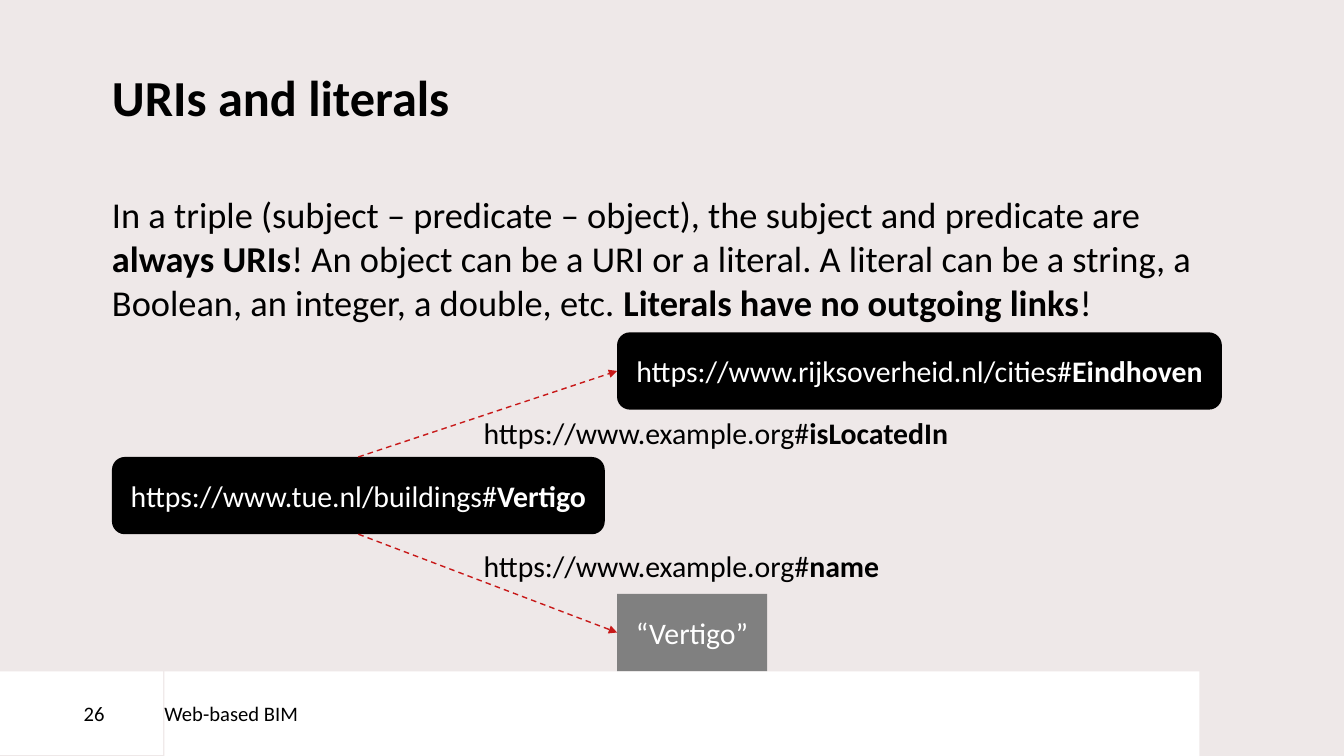
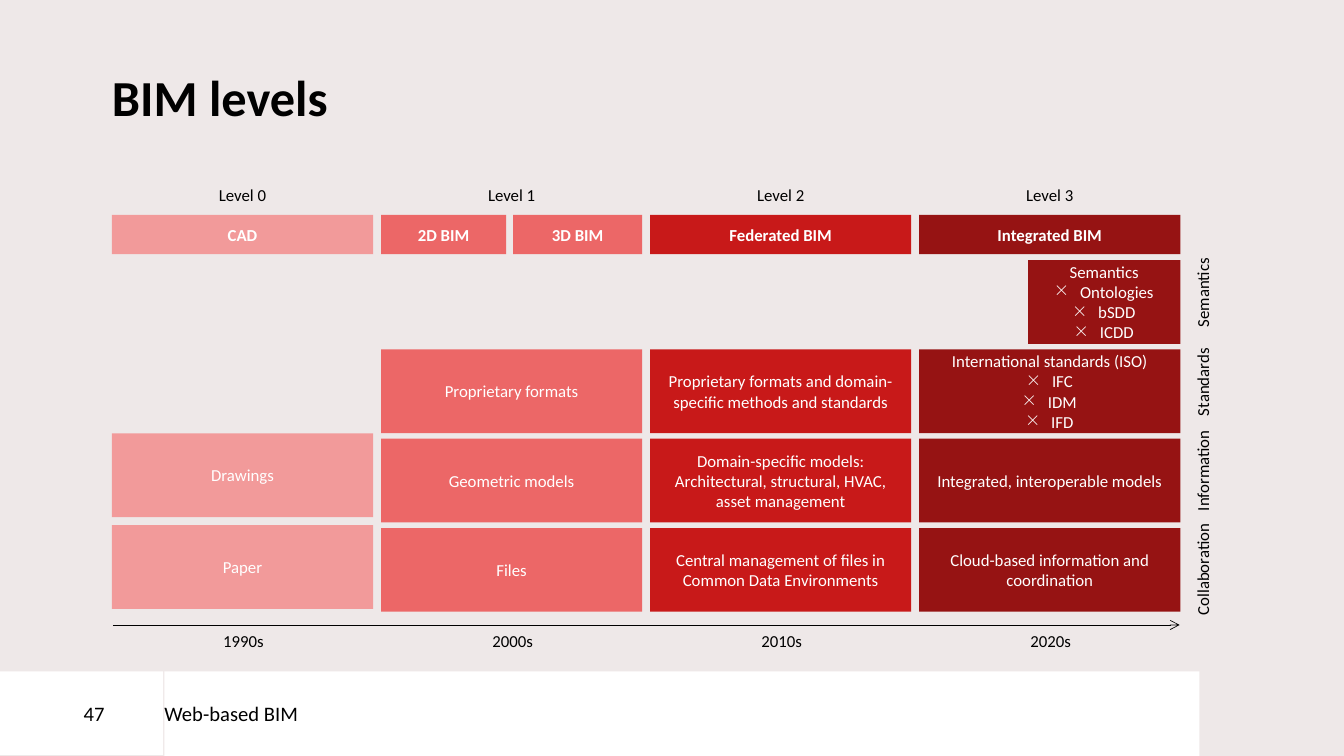
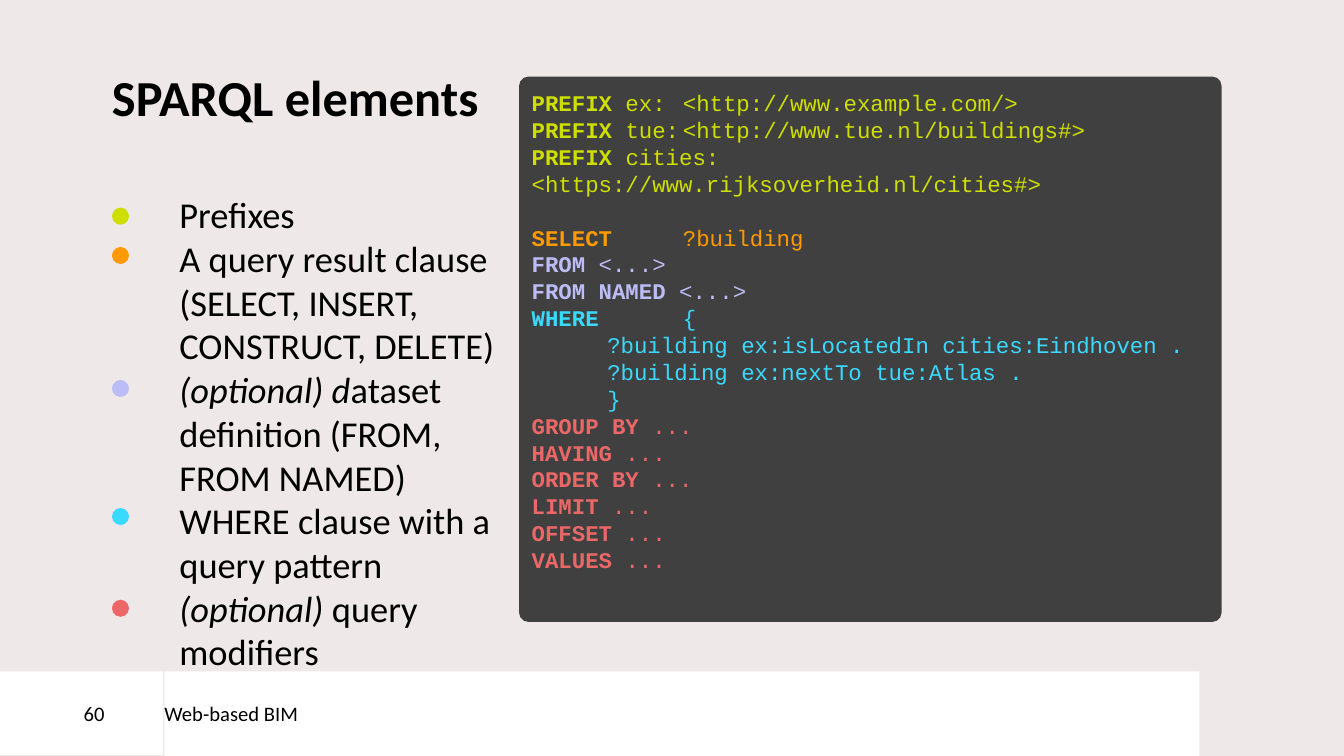
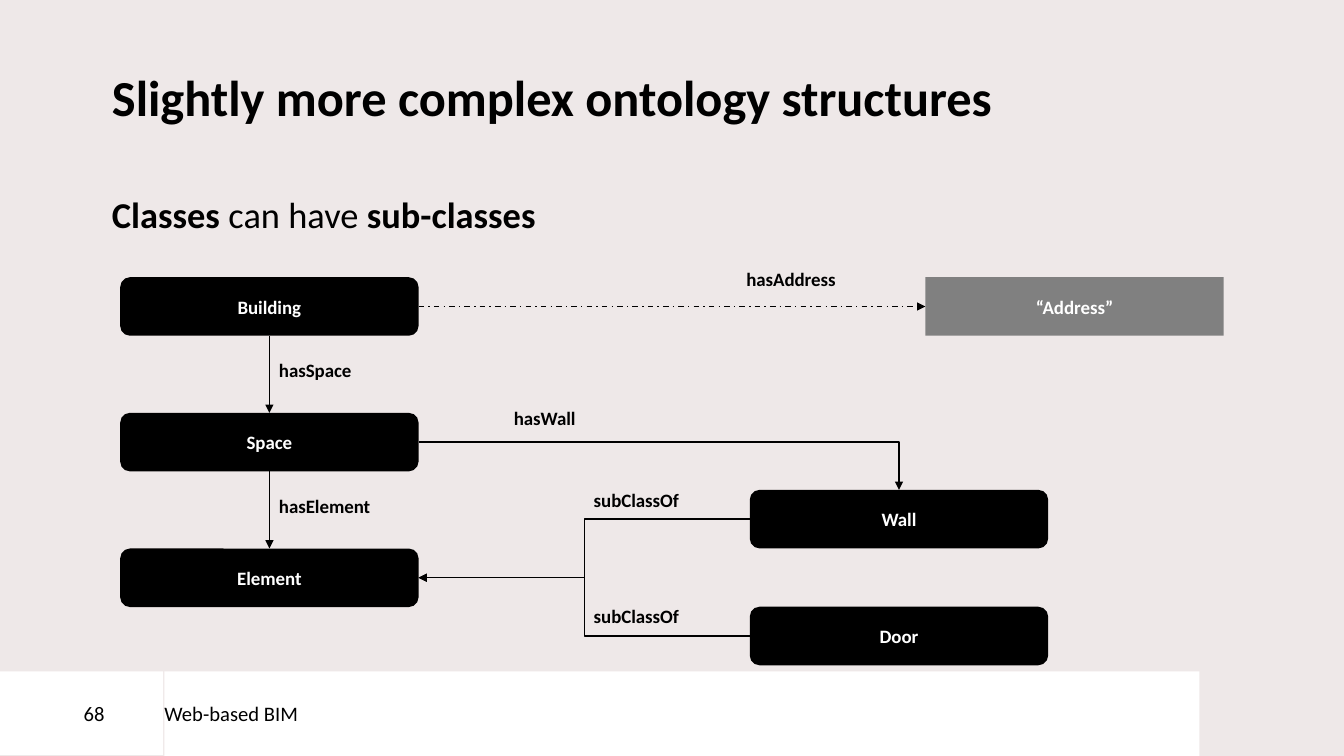
from lxml import etree
from pptx import Presentation
from pptx.dml.color import RGBColor
from pptx.enum.dml import MSO_LINE
from pptx.enum.shapes import MSO_CONNECTOR, MSO_SHAPE
from pptx.enum.text import MSO_ANCHOR, MSO_AUTO_SIZE, PP_ALIGN
from pptx.oxml.ns import qn
from pptx.util import Pt

RECT = MSO_SHAPE.RECTANGLE
ROUNDED = MSO_SHAPE.ROUNDED_RECTANGLE
OVAL = MSO_SHAPE.OVAL
STRAIGHT = MSO_CONNECTOR.STRAIGHT
ELBOW = MSO_CONNECTOR.ELBOW
DASH = MSO_LINE.DASH
DASH_DOT = MSO_LINE.DASH_DOT
LEFT, CENTER = PP_ALIGN.LEFT, PP_ALIGN.CENTER
TOP, MIDDLE = MSO_ANCHOR.TOP, MSO_ANCHOR.MIDDLE
AT_TOP, AT_LEFT, AT_BOTTOM, AT_RIGHT = range(4)

BACKGROUND = "EEE8E8"
BLACK, WHITE, GRAY, CHARCOAL = "000000", "FFFFFF", "808080", "404040"
RED = "C81919"
LIME, ORANGE, LILAC, CYAN, CORAL = "CEDF00", "FF9A00", "BCBCF6", "3AD9FF", "EC6767"

SANS, MONO = "Calibri", "Courier New"
LEADING = 1.2
MARGIN = 80
CONTENT_TOP, CONTENT_WIDTH = 137.5, 793.4
BODY_SIZE, URI_SIZE, GRID_SIZE, NODE_SIZE, CODE_SIZE = 26, 21.3, 12, 13.5, 16

LEVELS = [
    # fill, headers as (text, offset, width), cells as (top, heading, bullets), decade
    ("F29A9A", [("CAD", 0, 186.5)],
     [(309.6, ["Drawings"], []), (375.1, ["Paper"], [])], "1990s"),
    ("EC6767", [("2D BIM", 0, 89.3), ("3D BIM", 94.3, 92.2)],
     [(249.6, ["Proprietary formats"], []),
      (313.4, ["Geometric models"], []),
      (377.2, ["Files"], [])], "2000s"),
    (RED, [("Federated BIM", 0, 186.5)],
     [(249.6, ["Proprietary formats and domain-specific methods and standards"], []),
      (313.4, ["Domain-specific models:",
               "Architectural, structural, HVAC, asset management"], []),
      (377.2, ["Central management of files in Common Data Environments"], [])], "2010s"),
    ("961313", [("Integrated BIM", 0, 186.5)],
     [(185.8, ["Semantics"], ["Ontologies", "bSDD", "ICDD"]),
      (249.6, ["International standards (ISO)"], ["IFC", "IDM", "IFD"]),
      (313.4, ["Integrated, interoperable models"], []),
      (377.2, ["Cloud-based information and coordination"], [])], "2020s"),
]
LAYERS = [("Semantics", 209), ("Standards", 272.9),
          ("Information", 336.2), ("Collaboration", 406.8)]

QUERY = [
    (LIME, [("PREFIX", " ex:\t<http://www.example.com/>"),
            ("PREFIX ", "tue:\t<http://www.tue.nl/buildings#>"),
            ("PREFIX ", "cities:\t<https://www.rijksoverheid.nl/cities#>")]),
    (ORANGE, [("SELECT", " \t?building")]),
    (LILAC, [("FROM", " <...>"), ("FROM NAMED ", "<...>")]),
    (CYAN, [("WHERE", " \t{"),
            ("", "\t?building ex:isLocatedIn cities:Eindhoven ."),
            ("", "\t?building ex:nextTo tue:Atlas ."),
            ("", "\t}")]),
    (CORAL, [("GROUP BY ", "..."), ("HAVING", " ..."), ("ORDER BY ", "..."),
             ("LIMIT ", "..."), ("OFFSET", " ..."), ("VALUES ", "...")]),
]
QUERY_PARTS = [
    # dot colour, dot top, runs
    (LIME, 148.3, ["Prefixes"]),
    (ORANGE, 176.4, ["A query result clause (SELECT, INSERT, CONSTRUCT, DELETE)"]),
    (LILAC, 271.4, [("(optional) d", "italic"), "ataset definition (FROM, FROM NAMED)"]),
    (CYAN, 362.9, ["WHERE clause with a query pattern"]),
    (CORAL, 428.4, [("(optional) ", "italic"), "query modifiers"]),
]


def rgb(value):
    return RGBColor.from_string(value)


def bold(text):
    return (text, "bold")


def write(frame, paragraphs, *, size, color=BLACK, font=SANS, strong=False, align=LEFT,
          leading=LEADING, gap=0, indent=0, bullet=None, tabs=()):
    """Append paragraphs, each a string or a list of runs: strings or (text, style) pairs.

    gap is the space before the first of them.
    """
    for index, content in enumerate(paragraphs):
        paragraph = frame.add_paragraph() if frame.text else frame.paragraphs[0]
        props = paragraph._p.get_or_add_pPr()
        if indent:
            props.set("marL", str(Pt(indent)))
            props.set("indent", str(-Pt(indent) if bullet else 0))
        if bullet:
            etree.SubElement(props, qn("a:buChar")).set("char", bullet)
        if tabs:
            stops = etree.SubElement(props, qn("a:tabLst"))
            for position in tabs:
                etree.SubElement(stops, qn("a:tab"), pos=str(Pt(position)), algn="l")
        paragraph.alignment = align
        paragraph.line_spacing = Pt(size * leading)
        paragraph.space_before = Pt(0 if index else gap)
        for part in [content] if isinstance(content, str) else content:
            text, style = (part, None) if isinstance(part, str) else part
            run = paragraph.add_run()
            run.text = text
            run.font.name, run.font.size = font, Pt(size)
            run.font.color.rgb = rgb(color)
            run.font.bold = strong
            if style:
                setattr(run.font, style, True)


def set_frame(frame, anchor=TOP, insets=(7.2, 3.6, 7.2, 3.6)):
    frame.word_wrap = True
    frame.auto_size = MSO_AUTO_SIZE.NONE
    frame.vertical_anchor = anchor
    (frame.margin_left, frame.margin_top,
     frame.margin_right, frame.margin_bottom) = map(Pt, insets)
    return frame


def add_box(slide, kind, at, fill, anchor=MIDDLE, **frame_format):
    box = slide.shapes.add_shape(kind, *map(Pt, at))
    box.shadow.inherit = False
    box.fill.solid()
    box.fill.fore_color.rgb = rgb(fill)
    box.line.fill.background()
    set_frame(box.text_frame, anchor, **frame_format)
    return box


def add_filled_label(slide, kind, at, fill, paragraphs, **text_format):
    box = add_box(slide, kind, at, fill)
    write(box.text_frame, paragraphs, color=WHITE, align=CENTER, **text_format)
    return box


def add_label(slide, at, paragraphs, rotation=0, insets=(7.2, 3.6, 7.2, 3.6), **text_format):
    label = slide.shapes.add_textbox(*map(Pt, at))
    label.rotation = rotation
    write(set_frame(label.text_frame, insets=insets), paragraphs, **text_format)


def add_body(slide, paragraphs, width=CONTENT_WIDTH, **text_format):
    add_label(slide, (MARGIN, CONTENT_TOP, width, 306.7), paragraphs,
              insets=(0, 0, 0, 0), size=BODY_SIZE, **text_format)


def style_line(line, color=BLACK, width=1, dash=None, head="triangle"):
    line.line.color.rgb = rgb(color)
    line.line.width = Pt(width)
    if dash:
        line.line.dash_style = dash
    props = line._element.spPr
    etree.SubElement(props.find(qn("a:ln")), qn("a:tailEnd")).set("type", head)
    etree.SubElement(props, qn("a:effectLst"))


def join(slide, start, start_side, end, end_side, kind=STRAIGHT, **line_format):
    """Draw an arrow between the middles of two shapes' sides."""
    line = slide.shapes.add_connector(kind, 0, 0, 0, 0)
    line.begin_connect(start, start_side)
    line.end_connect(end, end_side)
    style_line(line, **line_format)
    return line


def add_slide(prs, title, number):
    slide = prs.slides.add_slide(prs.slide_layouts[5])
    heading = slide.shapes.title
    heading.left, heading.top = Pt(MARGIN), Pt(54.7)
    heading.width, heading.height = Pt(CONTENT_WIDTH), Pt(56.9)
    write(set_frame(heading.text_frame, insets=(0, 0, 0, 0)), [title],
          size=36, strong=True, leading=1)
    for text, at, inset in ((("Web-based BIM"), (117.4, 479.5, 739.4, 60.5), 0),
                            (str(number), (0, 479.5, 116.6, 59.8), 59.8)):
        band = add_box(slide, RECT, at, WHITE, insets=(inset, 0, 0, 0))
        write(band.text_frame, [text], size=14.7)
    return slide


def build_uris(prs):
    slide = add_slide(prs, "URIs and literals", 26)
    add_body(slide, [[
        "In a triple (subject – predicate – object), the subject and predicate are ",
        bold("always URIs"),
        "! An object can be a URI or a literal. A literal can be a string, a Boolean, "
        "an integer, a double, etc. ",
        bold("Literals have no outgoing links"), "!"]])
    subject, city, literal = [
        add_filled_label(slide, kind, (left, top, width, 55.2), fill, [runs], size=URI_SIZE)
        for kind, left, top, width, fill, runs in (
            (ROUNDED, MARGIN, 326.4, 352, BLACK,
             ["https://www.tue.nl/buildings#", bold("Vertigo")]),
            (ROUNDED, 440.8, 237.4, 432, BLACK,
             ["https://www.rijksoverheid.nl/cities#", bold("Eindhoven")]),
            (RECT, 440.8, 424.2, 107.2, GRAY, ["“Vertigo”"]))]
    for side, target, predicate, top in ((AT_TOP, city, "isLocatedIn", 293),
                                         (AT_BOTTOM, literal, "name", 388)):
        join(slide, subject, side, target, AT_LEFT, color=RED, dash=DASH)
        add_label(slide, (338.4, top, 361.4, 33.1),
                  [["https://www.example.org#", bold(predicate)]], size=URI_SIZE)


def build_levels(prs):
    slide = add_slide(prs, "BIM levels", 47)
    pitch, width, height = 192.2, 186.5, 59.8
    axis = slide.shapes.add_connector(STRAIGHT, Pt(80.6), Pt(446.4), Pt(842.6), Pt(446.4))
    style_line(axis, width=0.5, head="arrow")
    for level, (fill, headers, cells, decade) in enumerate(LEVELS):
        left = MARGIN + level * pitch
        for text, top, shift in ((f"Level {level}", 128.2, 0), (decade, 447.1, 0.7)):
            add_label(slide, (left + shift, top, width, 21.6), [text],
                      size=GRID_SIZE, align=CENTER)
        for text, offset, header_width in headers:
            add_filled_label(slide, RECT, (left + offset, 153.4, header_width, 28.1), fill,
                             [text], size=GRID_SIZE, strong=True)
        for top, heading, bullets in cells:
            inset = 77.8 if heading == ["Semantics"] else 0
            cell = add_filled_label(slide, RECT, (left + inset, top, width - inset, height),
                                    fill, heading, size=GRID_SIZE)
            write(cell.text_frame, bullets, size=GRID_SIZE, color=WHITE, align=CENTER,
                  indent=18, bullet="×")
    for text, middle in LAYERS:
        add_label(slide, (805.7, middle - 10.8, 106.6, 21.6), [text], rotation=270,
                  size=GRID_SIZE, align=CENTER)


def build_query(prs):
    slide = add_slide(prs, "SPARQL elements", 60)
    add_body(slide, [runs for _, _, runs in QUERY_PARTS], width=283, indent=48.2)
    panel = add_box(slide, ROUNDED, (370.8, 54.7, 501.8, 389.5), CHARCOAL, TOP,
                    insets=(7.2, 7.2, 7.2, 7.2))
    panel.adjustments[0] = 0.017
    for color, lines in QUERY:
        runs = [[bold(keyword), rest] if keyword else [rest] for keyword, rest in lines]
        write(panel.text_frame, runs, size=CODE_SIZE, color=color, font=MONO,
              gap=CODE_SIZE * LEADING if color == ORANGE else 0, tabs=(54, 108, 162))
    for color, top, _ in QUERY_PARTS:
        add_box(slide, OVAL, (MARGIN, top, 12.2, 12.2), color)


def build_ontology(prs):
    slide = add_slide(prs, "Slightly more complex ontology structures", 68)
    add_body(slide, [[bold("Classes"), " can have ", bold("sub-classes")]])
    building, space, element, wall, door, address = [
        add_filled_label(slide, kind, (left, top, 213.1, 41.8), fill, [text],
                         size=NODE_SIZE, strong=True)
        for text, left, top, kind, fill in (
            ("Building", 85.9, 198, ROUNDED, BLACK),
            ("Space", 85.9, 294.9, ROUNDED, BLACK),
            ("Element", 85.9, 391.8, ROUNDED, BLACK),
            ("Wall", 535.6, 349.9, ROUNDED, BLACK),
            ("Door", 535.6, 433.4, ROUNDED, BLACK),
            ("“Address”", 661, 198, RECT, GRAY))]
    join(slide, building, AT_BOTTOM, space, AT_TOP)
    join(slide, space, AT_BOTTOM, element, AT_TOP)
    join(slide, building, AT_RIGHT, address, AT_LEFT, dash=DASH_DOT)
    for subclass in (wall, door):
        join(slide, subclass, AT_LEFT, element, AT_RIGHT, ELBOW)
    has_wall = join(slide, space, AT_RIGHT, wall, AT_TOP, ELBOW)
    has_wall._element.spPr.find(qn("a:prstGeom")).set("prst", "bentConnector2")
    for text, left, top in (("hasSpace", 192.2, 252.7), ("hasElement", 192.2, 349.4),
                            ("hasAddress", 526, 187.9), ("hasWall", 360, 287),
                            ("subClassOf", 417, 345.3), ("subClassOf", 417, 428.4)):
        add_label(slide, (left, top, 115.2, 23.8), [text], size=NODE_SIZE, strong=True)


def main():
    prs = Presentation()
    prs.slide_width, prs.slide_height = Pt(960), Pt(540)
    backdrop = prs.slide_master.background.fill
    backdrop.solid()
    backdrop.fore_color.rgb = rgb(BACKGROUND)
    for build in (build_uris, build_levels, build_query, build_ontology):
        build(prs)
    prs.save("out.pptx")


if __name__ == "__main__":
    main()
